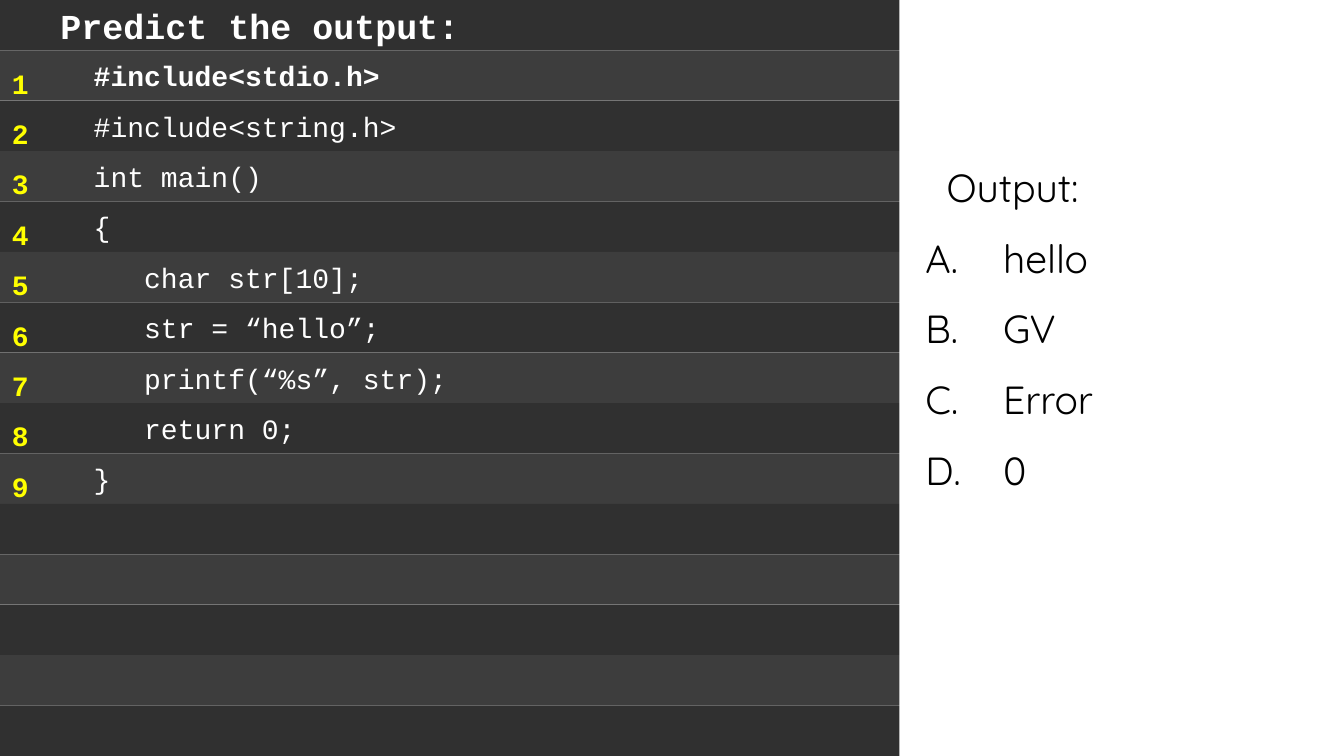
"""Build a quiz slide that asks for the output of a short C program."""
from lxml import etree
from pptx import Presentation
from pptx.dml.color import RGBColor
from pptx.enum.shapes import MSO_SHAPE
from pptx.enum.text import MSO_ANCHOR, MSO_AUTO_SIZE, PP_ALIGN
from pptx.oxml.ns import qn
from pptx.util import Inches, Pt

RECTANGLE = MSO_SHAPE.RECTANGLE
MIDDLE = MSO_ANCHOR.MIDDLE
NO_AUTOFIT = MSO_AUTO_SIZE.NONE
LEFT = PP_ALIGN.LEFT

THEME = {
    "stripes": (RGBColor(0x30, 0x30, 0x30), RGBColor(0x3D, 0x3D, 0x3D)),
    "white": RGBColor(0xFF, 0xFF, 0xFF),
    "black": RGBColor(0x00, 0x00, 0x00),
    "yellow": RGBColor(0xFF, 0xFF, 0x00),
    "code_font": "Courier New",
    "answer_font": "Quicksand",
    "title_size": Pt(25),
    "code_size": Pt(20),
    "answer_size": Pt(28),
}
CODE_LINES = [
    "#include<stdio.h>",
    "#include<string.h>",
    "int main()",
    "{",
    "   char str[10];",
    "   str = “hello”;",
    "   printf(“%s”, str);",
    "   return 0;",
    "}",
]
ANSWERS = ["hello", "GV", "Error", "0"]
ROW_COUNT = 15
CODE_MARGIN = Inches(0.93)
ANSWER_INDENT = Inches(0.77)


def format_paragraph(paragraph, font_name, size, color, bold=False):
    paragraph.alignment = LEFT
    for run in paragraph.runs:
        run.font.name = font_name
        run.font.size = size
        run.font.color.rgb = color
        run.font.bold = bold


def add_plain_rectangle(left, top, width, height, color):
    shape = slide.shapes.add_shape(RECTANGLE, left, top, width, height)
    shape.shadow.inherit = False
    shape.fill.solid()
    shape.fill.fore_color.rgb = color
    shape.line.fill.background()
    return shape


presentation = Presentation()
presentation.slide_width = Inches(13.33)
presentation.slide_height = Inches(7.5)
slide_width = presentation.slide_width
slide_height = presentation.slide_height
row_height = slide_height // ROW_COUNT
slide = presentation.slides.add_slide(presentation.slide_layouts[5])

title = slide.shapes.title
title.left, title.top, title.width, title.height = 0, 0, slide_width, row_height
title.fill.solid()
title.fill.fore_color.rgb = THEME["stripes"][0]
title_frame = title.text_frame
title_frame.text = "Predict the output:"
title_frame.auto_size = NO_AUTOFIT
title_frame.vertical_anchor = MIDDLE
title_frame.margin_left = Inches(0.6)
format_paragraph(title_frame.paragraphs[0], THEME["code_font"],
                 THEME["title_size"], THEME["white"], True)

for row in range(1, ROW_COUNT):
    stripe = add_plain_rectangle(0, row * row_height, slide_width, row_height,
                                 THEME["stripes"][row % 2])
    if row <= len(CODE_LINES):
        code_frame = stripe.text_frame
        code_frame.text = CODE_LINES[row - 1]
        code_frame.vertical_anchor = MIDDLE
        code_frame.margin_left = CODE_MARGIN
        format_paragraph(code_frame.paragraphs[0], THEME["code_font"],
                         THEME["code_size"], THEME["white"], row == 1)

panel_left = Inches(8.92)
add_plain_rectangle(panel_left, 0, slide_width - panel_left, slide_height, THEME["white"])

answer_box = slide.shapes.add_textbox(Inches(9.08), Inches(1.34), Inches(4.08), Inches(3.64))
answer_frame = answer_box.text_frame
answer_frame.word_wrap = True
answer_frame.text = "\n".join(["Output:"] + ANSWERS)
for index, paragraph in enumerate(answer_frame.paragraphs):
    paragraph.line_spacing = 1.5
    properties = paragraph._p.get_or_add_pPr()
    if index == 0:
        properties.set("marL", str(Inches(0.21)))
    else:
        properties.set("marL", str(ANSWER_INDENT))
        properties.set("indent", str(-ANSWER_INDENT))
        etree.SubElement(properties, qn("a:buFont"), typeface="+mj-lt")
        etree.SubElement(properties, qn("a:buAutoNum"), type="alphaUcPeriod")
    format_paragraph(paragraph, THEME["answer_font"], THEME["answer_size"], THEME["black"])

number_box = slide.shapes.add_textbox(Inches(0.02), Inches(0.44), Inches(0.56), Inches(4.64))
number_frame = number_box.text_frame
number_frame.word_wrap = True
number_frame.text = "\n".join(str(number + 1) for number in range(len(CODE_LINES)))
for paragraph in number_frame.paragraphs:
    paragraph.line_spacing = 1.5
    format_paragraph(paragraph, THEME["code_font"], THEME["code_size"], THEME["yellow"], True)

presentation.save("out.pptx")
